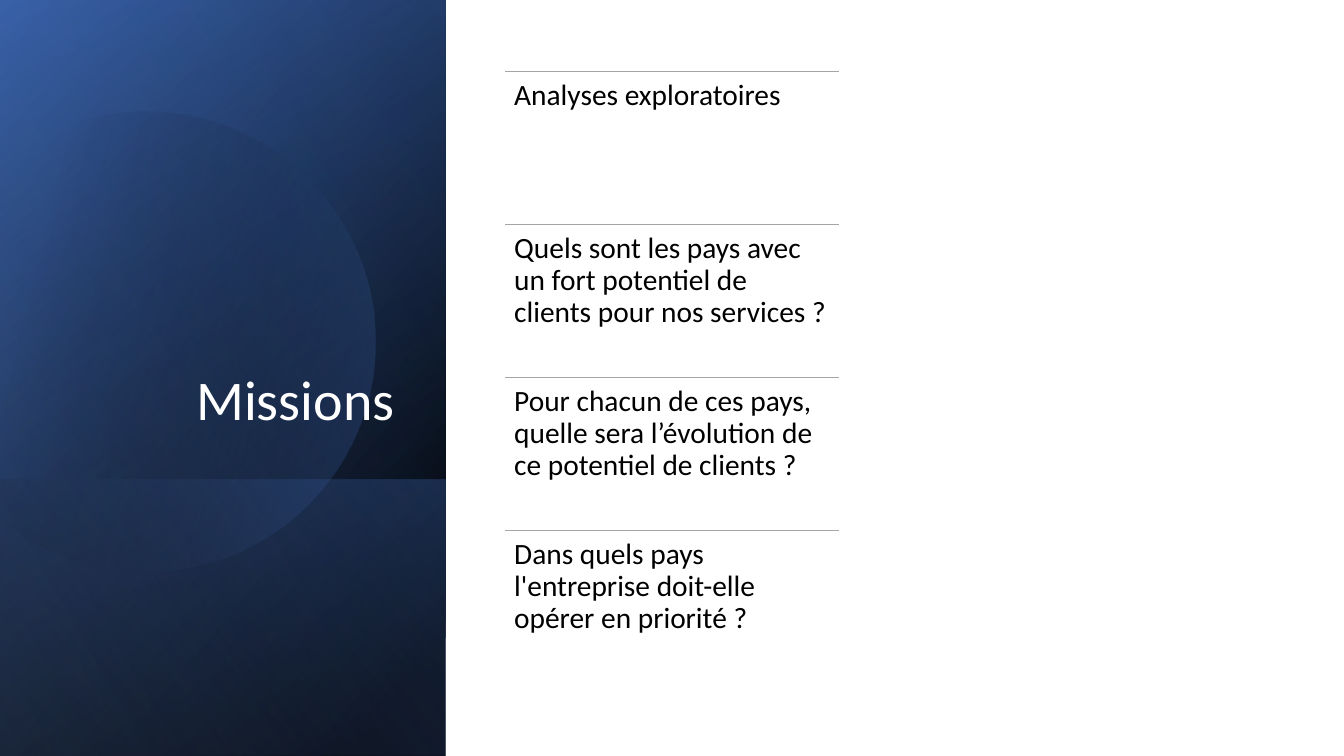
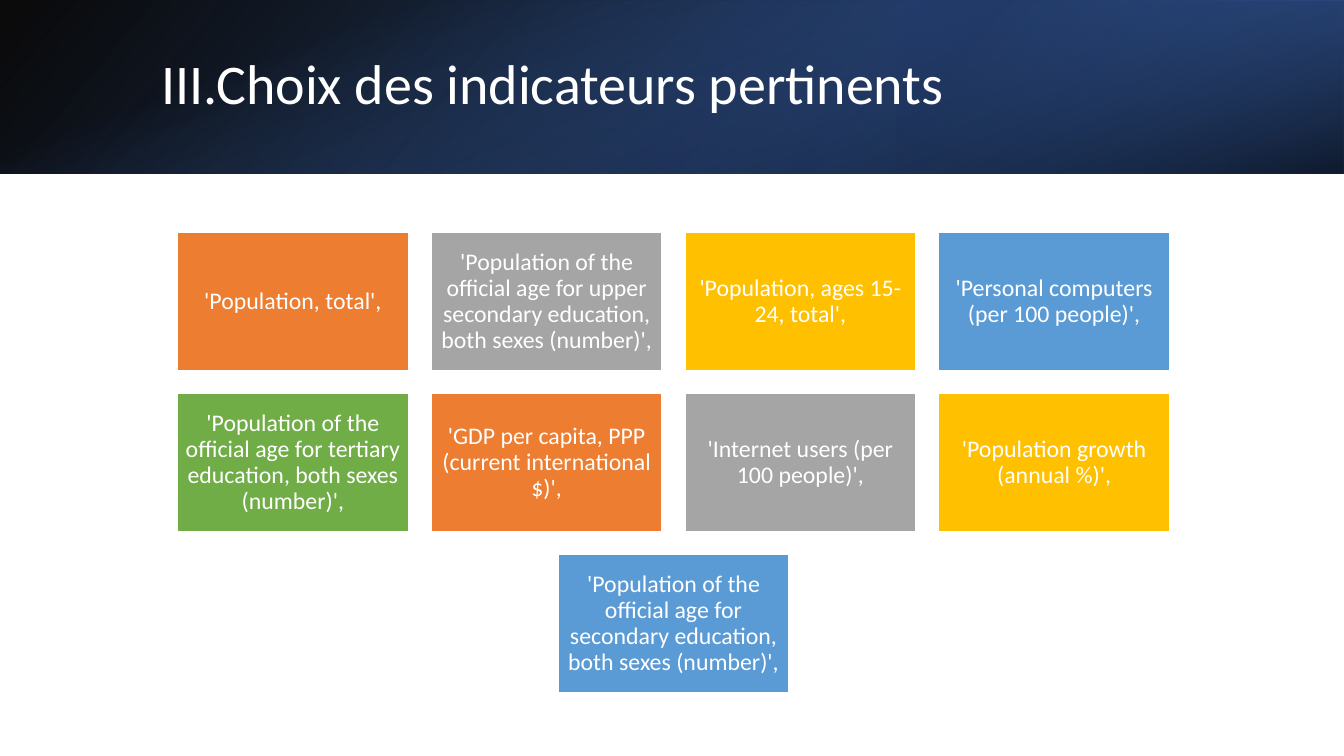
from math import cos, radians, sin

from pptx import Presentation
from pptx.dml.color import RGBColor
from pptx.enum.shapes import MSO_CONNECTOR, MSO_SHAPE
from pptx.enum.text import MSO_ANCHOR, PP_ALIGN
from pptx.oxml import parse_xml
from pptx.oxml.ns import nsdecls, qn
from pptx.util import Inches, Pt

RECTANGLE = MSO_SHAPE.RECTANGLE
STRAIGHT = MSO_CONNECTOR.STRAIGHT
TOP, MIDDLE, BOTTOM = MSO_ANCHOR.TOP, MSO_ANCHOR.MIDDLE, MSO_ANCHOR.BOTTOM
LEFT, CENTER, RIGHT = PP_ALIGN.LEFT, PP_ALIGN.CENTER, PP_ALIGN.RIGHT

FONT = "Calibri"
TITLE_SIZE = 40
COLORS = {
    "black": "000000",
    "white": "FFFFFF",
    "navy": "203864",
    "deep": "2F5597",
    "blue": "4472C4",
    "pale": "8FAADC",
    "orange": "ED7D31",
    "grey": "A5A5A5",
    "yellow": "FFC000",
    "sky": "5B9BD5",
    "green": "70AD47",
}


def paint_gradient(shape, stops, angle, rotation=0, mirrored=True):
    """Fill with (position %, colour, opacity %) stops; no outline, no shadow."""
    stop_xml = "".join(
        f'<a:gs pos="{position * 1000}"><a:srgbClr val="{COLORS[color]}">'
        f'<a:alpha val="{opacity * 1000}"/></a:srgbClr></a:gs>'
        for position, color, opacity in stops
    )
    gradient = parse_xml(
        f'<a:gradFill {nsdecls("a")} rotWithShape="1"><a:gsLst>{stop_xml}</a:gsLst>'
        f'<a:lin ang="{angle * 60000}" scaled="0"/></a:gradFill>'
    )
    shape.shadow.inherit = False
    shape.line.fill.background()
    shape.fill.background()
    shape.rotation = rotation
    properties = shape._element.spPr
    properties.replace(properties.find(qn("a:noFill")), gradient)
    if mirrored:
        properties.find(qn("a:xfrm")).set("flipH", "1")


def write_text(shape, text, size, color, align, anchor, inset=None):
    frame = shape.text_frame
    frame.word_wrap = True
    frame.vertical_anchor = anchor
    if inset is not None:
        frame.margin_left = frame.margin_right = Inches(inset)
        frame.margin_top = frame.margin_bottom = Inches(inset)
    paragraph = frame.paragraphs[0]
    paragraph.alignment = align
    paragraph.line_spacing = 0.9
    run = paragraph.add_run()
    run.text = text
    run.font.name = FONT
    run.font.size = Pt(size)
    run.font.color.rgb = RGBColor.from_string(COLORS[color])


prs = Presentation()
prs.slide_width, prs.slide_height = Inches(13.33), Inches(7.5)
blank = prs.slide_layouts[6]

# Slide 1: side panel of layered gradients
missions = prs.slides.add_slide(blank)
panel_box = (-1.54, 1.54, 7.5, 4.42)
panel_layers = [
    (panel_box, [(8, "black", 100), (100, "deep", 100)], 50),
    (panel_box, [(0, "black", 0), (99, "blue", 46)], 30),
    ((0.84, 3.92, 2.74, 4.42), [(2, "blue", 29), (100, "black", 30)], 130),
]
for box, stops, angle in panel_layers:
    layer = missions.shapes.add_shape(RECTANGLE, *map(Inches, box))
    paint_gradient(layer, stops, angle, 90)

# Circle cut along the left edge of the slide
center_x, center_y, radius = 1.44, 3.35, 2.28
arc_start, arc_end, arc_steps = -118.2, 150.4, 100
arc_angles = [
    radians(arc_start + (arc_end - arc_start) * step / arc_steps)
    for step in range(arc_steps + 1)
]
arc = [
    (Inches(center_x + radius * cos(a)), Inches(center_y + radius * sin(a)))
    for a in arc_angles
]
outline = missions.shapes.build_freeform(*arc[0])
outline.add_line_segments(arc[1:], close=True)
paint_gradient(outline.convert_to_shape(), [(29, "black", 0), (100, "blue", 43)],
               30, 343.9, mirrored=False)

# Light veil over the whole panel
veil = missions.shapes.add_shape(RECTANGLE, *map(Inches, panel_box))
paint_gradient(veil, [(0, "black", 0), (99, "pale", 11)], 120, 90)

missions_title = missions.shapes.add_textbox(
    Inches(0.51), Inches(0.64), Inches(3.5), Inches(3.7))
write_text(missions_title, "Missions", TITLE_SIZE, "white", RIGHT, BOTTOM)

# Questions, each under a thin rule
questions = [
    "Analyses exploratoires",
    "Quels sont les pays avec un fort potentiel de clients pour nos services ?",
    "Pour chacun de ces pays, quelle sera l’évolution de ce potentiel de clients ?",
    "Dans quels pays l'entreprise doit-elle opérer en priorité ?",
]
list_left, list_top, list_width, list_height = 5.01, 0.71, 3.31, 6.07
question_height = list_height / len(questions)
for index, question in enumerate(questions):
    top = Inches(list_top + index * question_height)
    rule = missions.shapes.add_connector(
        STRAIGHT, Inches(list_left), top, Inches(list_left + list_width), top)
    rule.line.color.rgb = RGBColor.from_string(COLORS["grey"])
    rule.line.width = Pt(1)
    rule._element.spPr.append(parse_xml(f'<a:effectLst {nsdecls("a")}/>'))
    question_text = missions.shapes.add_textbox(
        Inches(list_left), top, Inches(list_width), Inches(question_height))
    write_text(question_text, question, 21, "black", LEFT, TOP, 0.09)

# Slide 2: title band of layered gradients
indicators = prs.slides.add_slide(blank)
band_layers = [
    ((0, 0, 13.33, 1.72), [(0, "black", 96), (100, "deep", 100)], 140, 0, True),
    ((8.89, 0, 4.44, 1.72), [(19, "navy", 68), (100, "blue", 79)], 320, 180, True),
    ((5.8, -5.8, 1.72, 13.33), [(23, "blue", 0), (99, "black", 74)], 340, 90, False),
]
for box, stops, angle, rotation, mirrored in band_layers:
    layer = indicators.shapes.add_shape(RECTANGLE, *map(Inches, box))
    paint_gradient(layer, stops, angle, rotation, mirrored)

indicators_title = indicators.shapes.add_textbox(
    Inches(1.5), Inches(0.38), Inches(10.98), Inches(0.96))
write_text(indicators_title, "III.Choix des indicateurs pertinents",
           TITLE_SIZE, "white", LEFT, MIDDLE)

# Indicator tiles: rows of four, last row centred
indicator_names = [
    "'Population, total',",
    "'Population of the official age for upper secondary education, both sexes (number)',",
    "'Population, ages 15-24, total',",
    "'Personal computers (per 100 people)',",
    "'Population of the official age for tertiary education, both sexes (number)',",
    "'GDP per capita, PPP (current international $)',",
    "'Internet users (per 100 people)',",
    "'Population growth (annual %)',",
    "'Population of the official age for secondary education, both sexes (number)',",
]
tile_colors = ["orange", "grey", "yellow", "sky", "green"]
columns = 4
grid_left, grid_top, grid_width = 1.76, 2.31, 9.84
tile_width, tile_height = 2.29, 1.37
gap = (grid_width - columns * tile_width) / (columns - 1)
for index, name in enumerate(indicator_names):
    row, column = divmod(index, columns)
    in_row = min(columns, len(indicator_names) - row * columns)
    column += (columns - in_row) / 2
    tile = indicators.shapes.add_shape(
        RECTANGLE,
        Inches(grid_left + column * (tile_width + gap)),
        Inches(grid_top + row * (tile_height + gap)),
        Inches(tile_width), Inches(tile_height))
    tile.shadow.inherit = False
    tile.fill.solid()
    tile.fill.fore_color.rgb = RGBColor.from_string(
        COLORS[tile_colors[index % len(tile_colors)]])
    tile.line.color.rgb = RGBColor.from_string(COLORS["white"])
    tile.line.width = Pt(1)
    write_text(tile, name, 17, "white", CENTER, MIDDLE, 0.07)

prs.save("out.pptx")
